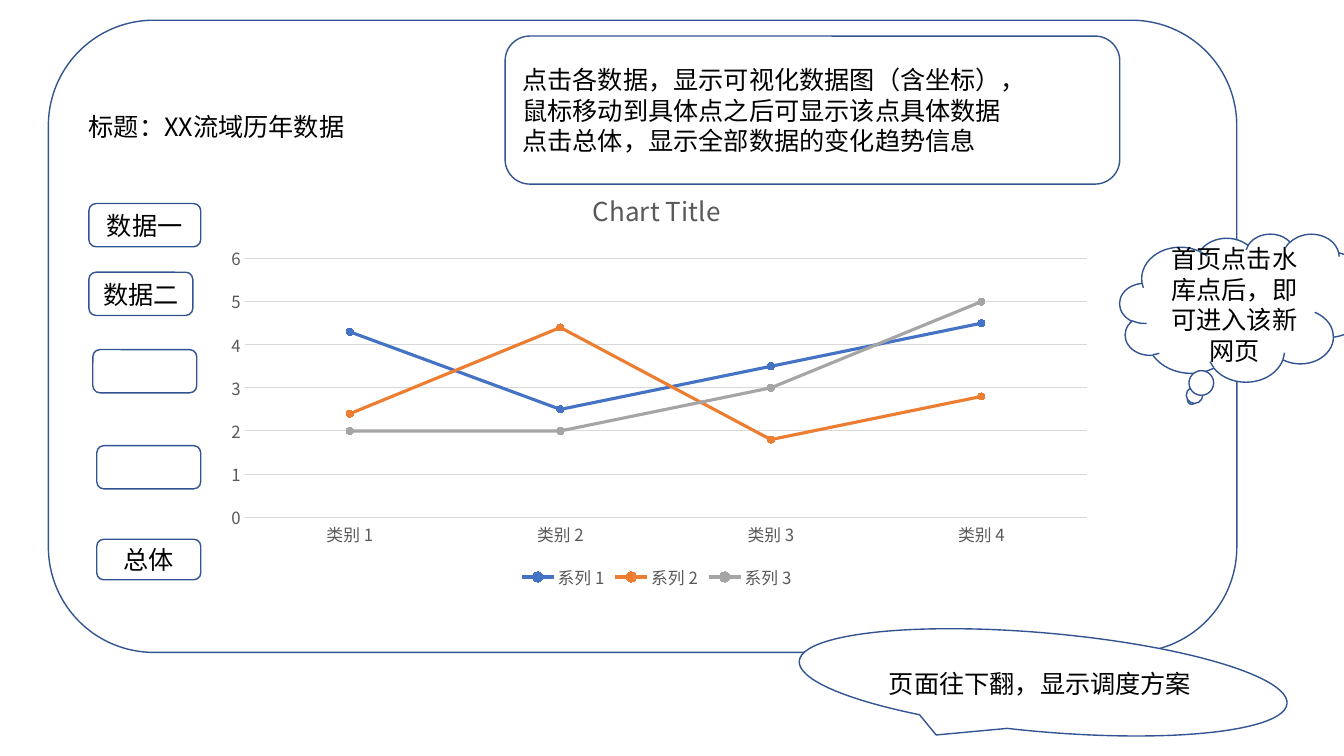
from dataclasses import dataclass

import lxml.etree
import pptx
import pptx.chart.data
import pptx.dml.color
import pptx.enum.chart
import pptx.enum.shapes
import pptx.enum.text
import pptx.oxml.ns
import pptx.util
from pptx.util import Cm

FONT = "Noto Sans CJK SC"
COLORS = {"paper": "FFFFFF", "outline": "325491", "text": "000000",
          "label": "595959", "grid": "D9D9D9"}
SERIES_COLORS = {"系列 1": "4472C4", "系列 2": "ED7D31", "系列 3": "A5A5A5"}
SERIES_VALUES = {"系列 1": (4.3, 2.5, 3.5, 4.5),
                 "系列 2": (2.4, 4.4, 1.8, 2.8),
                 "系列 3": (2, 2, 3, 5)}

KIND = pptx.enum.shapes.MSO_SHAPE
ALIGN = pptx.enum.text.PP_ALIGN
ANCHOR = pptx.enum.text.MSO_ANCHOR
qn = pptx.oxml.ns.qn


@dataclass
class Panel:
    left: float
    top: float
    width: float
    height: float
    text: str = ""
    kind: KIND = KIND.ROUNDED_RECTANGLE
    align: ALIGN = ALIGN.CENTER
    rotation: float = 0

    def bounds(self) -> tuple:
        return tuple(Cm(n) for n in (self.left, self.top, self.width, self.height))


FRAME = Panel(1.22, 0.51, 29.95, 15.93)
TITLE = Panel(1.98, 2.67, 9, 1)
CHART = Panel(5.26, 4.27, 22.58, 10.69)
FOOTNOTE = Panel(22.15, 16.71, 8.28, 1.02)
BUTTONS = [
    Panel(2.24, 5.13, 2.82, 1.09, "数据一"),
    Panel(2.24, 6.86, 2.62, 1.09, "数据二"),
    Panel(2.34, 8.81, 2.62, 1.09),
    Panel(2.44, 11.23, 2.62, 1.09),
    Panel(2.44, 13.59, 2.62, 1.02, "总体"),
]
NOTES = [
    Panel(28.22, 5.89, 6.22, 3.73, "首页点击水库点后，即可进入该新网页", KIND.CLOUD_CALLOUT),
    Panel(12.73, 0.91, 15.49, 3.73,
          "点击各数据，显示可视化数据图（含坐标），\n"
          "鼠标移动到具体点之后可显示该点具体数据\n"
          "点击总体，显示全部数据的变化趋势信息", align=ALIGN.JUSTIFY),
    Panel(20.12, 15.95, 12.34, 2.49, kind=KIND.OVAL_CALLOUT, rotation=5),
]


def rgb(name: str) -> pptx.dml.color.RGBColor:
    return pptx.dml.color.RGBColor.from_string(COLORS.get(name, name))


def set_font(font, *, size: float, color: str) -> None:
    font.name = FONT
    font.size = pptx.util.Pt(size)
    font.bold = False
    font.color.rgb = rgb(color)


def add_east_asian_font(element) -> None:
    """Use the same typeface for Chinese characters as for Latin ones."""
    for latin in list(element.iter(qn("a:latin"))):
        east_asian = lxml.etree.Element(qn("a:ea"), typeface=FONT)
        latin.addnext(east_asian)


def write_text(shape, text: str, *, align=ALIGN.LEFT, anchor=ANCHOR.MIDDLE,
               size: float = 18, color: str = "text") -> None:
    frame = shape.text_frame
    frame.word_wrap = True
    frame.auto_size = pptx.enum.text.MSO_AUTO_SIZE.NONE
    frame.vertical_anchor = anchor
    for index, line in enumerate(text.split("\n")):
        para = frame.add_paragraph() if index else frame.paragraphs[0]
        para.alignment = align
        para.line_spacing = pptx.util.Pt(size * 1.21)
        span = para.add_run()
        span.text = line
        set_font(span.font, size=size, color=color)
    add_east_asian_font(shape.element)


def add_panel(page, panel: Panel):
    box = page.shapes.add_shape(panel.kind, *panel.bounds())
    box.shadow.inherit = False
    box.rotation = panel.rotation
    box.fill.solid()
    box.fill.fore_color.rgb = rgb("paper")
    box.line.color.rgb = rgb("outline")
    box.line.width = pptx.util.Pt(1)
    if panel.text:
        write_text(box, panel.text, align=panel.align)
    return box


def place_plot(chart, **fractions: float) -> None:
    """Fix the inner plot area as fractions of the chart."""
    area = chart.element.find(".//" + qn("c:plotArea"))
    for old in area.findall(qn("c:layout")):
        area.remove(old)
    layout = lxml.etree.Element(qn("c:layout"))
    area.insert(0, layout)
    manual = lxml.etree.SubElement(layout, qn("c:manualLayout"))
    settings = {"layoutTarget": "inner", "xMode": "edge", "yMode": "edge", **fractions}
    for name, value in settings.items():
        lxml.etree.SubElement(manual, qn("c:" + name), val=str(value))


def add_line_chart(page) -> None:
    data = pptx.chart.data.CategoryChartData()
    data.categories = [f"类别 {n}" for n in range(1, 5)]
    for name, values in SERIES_VALUES.items():
        data.add_series(name, values)
    kinds = pptx.enum.chart
    chart = page.shapes.add_chart(kinds.XL_CHART_TYPE.LINE_MARKERS,
                                  *CHART.bounds(), data).chart
    set_font(chart.font, size=12, color="label")

    # Title and legend
    chart.has_title = True
    chart.chart_title.include_in_layout = False
    span = chart.chart_title.text_frame.paragraphs[0].add_run()
    span.text = "Chart Title"
    set_font(span.font, size=18.6, color="label")
    chart.has_legend = True
    chart.legend.position = kinds.XL_LEGEND_POSITION.BOTTOM
    chart.legend.include_in_layout = False
    set_font(chart.legend.font, size=12, color="label")

    # Axes
    for axis in (chart.category_axis, chart.value_axis):
        axis.major_tick_mark = axis.minor_tick_mark = kinds.XL_TICK_MARK.NONE
        set_font(axis.tick_labels.font, size=12, color="label")
    value_axis = chart.value_axis
    value_axis.minimum_scale, value_axis.maximum_scale = 0, 6
    value_axis.major_unit = 1
    value_axis.has_major_gridlines = True
    value_axis.format.line.fill.background()
    for line in (chart.category_axis.format.line, value_axis.major_gridlines.format.line):
        line.color.rgb = rgb("grid")
        line.width = pptx.util.Pt(0.75)

    # Series
    for series in chart.plots[0].series:
        color = rgb(SERIES_COLORS[series.name])
        series.smooth = False
        series.format.line.color.rgb = color
        series.format.line.width = pptx.util.Pt(2.25)
        series.marker.style = kinds.XL_MARKER_STYLE.CIRCLE
        series.marker.size = 5
        series.marker.format.fill.solid()
        series.marker.format.fill.fore_color.rgb = color
        series.marker.format.line.color.rgb = color
    chart.plots[0].vary_by_categories = False
    place_plot(chart, x=0.04, y=0.21, w=0.94, h=0.61)
    add_east_asian_font(chart.element)


def main() -> None:
    deck = pptx.Presentation()
    deck.slide_width, deck.slide_height = Cm(33.87), Cm(19.05)
    page = deck.slides.add_slide(deck.slide_layouts[5])

    # Page frame, behind the title
    title = page.shapes.title
    title.element.addprevious(add_panel(page, FRAME).element)
    title.left, title.top, title.width, title.height = TITLE.bounds()
    write_text(title, "标题：XX流域历年数据")

    # Chart, data buttons and notes
    add_line_chart(page)
    for panel in BUTTONS + NOTES:
        add_panel(page, panel)

    # Level text over the tilted callout
    footnote = page.shapes.add_textbox(*FOOTNOTE.bounds())
    write_text(footnote, "页面往下翻，显示调度方案", anchor=ANCHOR.TOP)

    deck.save("out.pptx")


if __name__ == "__main__":
    main()
